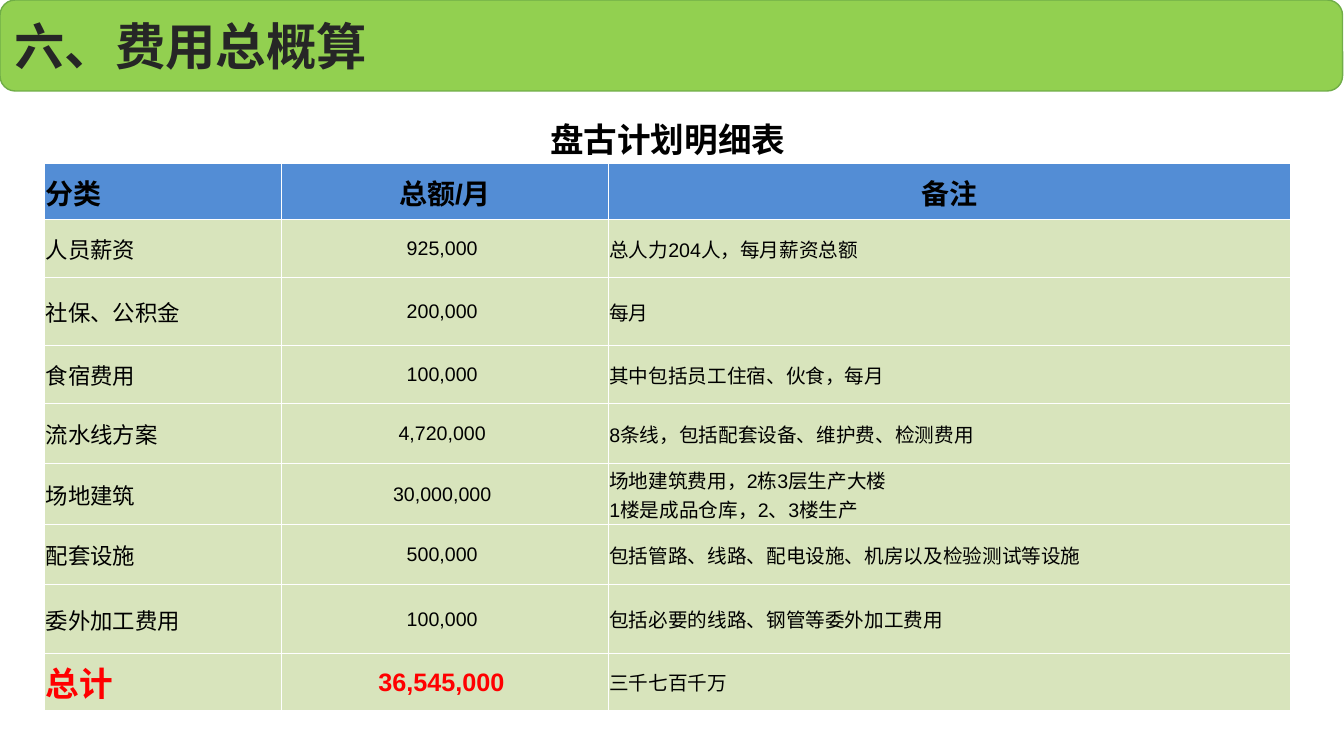
import copy
import dataclasses
import typing

import lxml.etree
import pptx
import pptx.dml.color
import pptx.enum.shapes
import pptx.enum.text
import pptx.oxml.ns
import pptx.util

Pt = pptx.util.Pt
Align = pptx.enum.text.PP_ALIGN
qn = pptx.oxml.ns.qn

COLORS = {
    "banner": "92D050", "banner_line": "70AD47", "banner_text": "262626",
    "header": "538DD5", "body": "D8E4BC", "border": "FFFFFF",
    "text": "000000", "total": "FF0000",
}
CJK_FONT = "Noto Sans CJK SC"
COLUMN_WIDTHS = [169.2, 233.3, 487.4]
CAPTION_HEIGHT = 36.7
HEADER_HEIGHT = 40.3


@dataclasses.dataclass(frozen=True)
class Style:
    size: float
    bold: bool = False
    color: str = "text"
    font: str = "Arial"
    align: Align = Align.LEFT


@dataclasses.dataclass(frozen=True)
class Cost:
    category: str
    amount: int
    remark: str
    height: float


COSTS = [
    Cost("人员薪资", 925000, "总人力204人，每月薪资总额", 41),
    Cost("社保、公积金", 200000, "每月", 49),
    Cost("食宿费用", 100000, "其中包括员工住宿、伙食，每月", 41),
    Cost("流水线方案", 4720000, "8条线，包括配套设备、维护费、检测费用", 43.2),
    Cost("场地建筑", 30000000, "场地建筑费用，2栋3层生产大楼\n1楼是成品仓库，2、3楼生产", 43.2),
    Cost("配套设施", 500000, "包括管路、线路、配电设施、机房以及检验测试等设施", 43.2),
    Cost("委外加工费用", 100000, "包括必要的线路、钢管等委外加工费用", 49),
    Cost("总计", 36545000, "三千七百千万", 41),
]

CAPTION = Style(24, True, align=Align.CENTER)
HEADER = Style(20, True)
HEADER_CENTERED = dataclasses.replace(HEADER, align=Align.CENTER)
REMARK = Style(14)
COST_STYLES = [Style(16), Style(14, align=Align.CENTER), REMARK]
TOTAL_STYLES = [
    Style(24, True, "total"),
    Style(18, True, "total", align=Align.CENTER),
    REMARK,
]


def rgb(name: str) -> pptx.dml.color.RGBColor:
    return pptx.dml.color.RGBColor.from_string(COLORS[name])


def apply(target: typing.Any, values: dict[str, typing.Any]) -> None:
    for name, value in values.items():
        setattr(target, name, value)


def write(frame: typing.Any, text: str, style: Style) -> None:
    para = frame.paragraphs[0]
    apply(para, {"text": text, "alignment": style.align})
    for span in para.runs:
        apply(span.font, {"size": Pt(style.size), "bold": style.bold, "name": style.font})
        span.font.color.rgb = rgb(style.color)
        east_asian = lxml.etree.SubElement(span.font._element, qn("a:ea"))
        east_asian.set("typeface", CJK_FONT)
    for line_break in para._p.findall(qn("a:br")):
        line_break.append(copy.deepcopy(para.runs[0].font._element))


def add_borders(cell: typing.Any) -> None:
    properties = cell._tc.get_or_add_tcPr()
    for index, side in enumerate(("lnL", "lnR", "lnT", "lnB")):
        line = lxml.etree.Element(qn(f"a:{side}"), w=str(Pt(0.5)))
        fill = lxml.etree.SubElement(line, qn("a:solidFill"))
        lxml.etree.SubElement(fill, qn("a:srgbClr"), val=COLORS["border"])
        properties.insert(index, line)


def fill_cell(cell: typing.Any, text: str, style: Style, fill: str | None) -> None:
    apply(cell, {
        "margin_left": Pt(0.75), "margin_right": Pt(0.75),
        "margin_top": Pt(0.75), "margin_bottom": Pt(0),
        "vertical_anchor": pptx.enum.text.MSO_ANCHOR.MIDDLE,
    })
    if fill:
        cell.fill.solid()
        cell.fill.fore_color.rgb = rgb(fill)
    else:
        cell.fill.background()
    add_borders(cell)
    write(cell.text_frame, text, style)


def add_banner(page: typing.Any, text: str) -> None:
    banner = page.shapes.add_shape(
        pptx.enum.shapes.MSO_SHAPE.ROUNDED_RECTANGLE, Pt(0), Pt(0), Pt(959), Pt(65))
    banner.shadow.inherit = False
    banner.fill.solid()
    banner.fill.fore_color.rgb = rgb("banner")
    banner.line.color.rgb = rgb("banner_line")
    banner.line.width = Pt(1)
    banner.text_frame.vertical_anchor = pptx.enum.text.MSO_ANCHOR.MIDDLE
    write(banner.text_frame, text, Style(36, True, "banner_text", CJK_FONT))


def add_cost_table(page: typing.Any) -> None:
    heights = [CAPTION_HEIGHT, HEADER_HEIGHT] + [cost.height for cost in COSTS]
    table = page.shapes.add_table(
        len(heights), len(COLUMN_WIDTHS), Pt(32), Pt(80),
        Pt(sum(COLUMN_WIDTHS)), Pt(sum(heights))).table
    apply(table, {"first_row": False, "horz_banding": False})
    for column, width in zip(table.columns, COLUMN_WIDTHS):
        column.width = Pt(width)
    for row, height in zip(table.rows, heights):
        row.height = Pt(height)

    table.cell(0, 0).merge(table.cell(0, len(COLUMN_WIDTHS) - 1))
    fill_cell(table.cell(0, 0), "盘古计划明细表", CAPTION, None)
    header_styles = [HEADER, HEADER_CENTERED, HEADER_CENTERED]
    for index, text in enumerate(["分类", "总额/月", "备注"]):
        fill_cell(table.cell(1, index), text, header_styles[index], "header")
    for row_index, cost in enumerate(COSTS, start=2):
        styles = TOTAL_STYLES if cost is COSTS[-1] else COST_STYLES
        texts = [cost.category, f"{cost.amount:,} ", cost.remark]
        for index, (text, style) in enumerate(zip(texts, styles)):
            fill_cell(table.cell(row_index, index), text, style, "body")


deck = pptx.Presentation()
apply(deck, {"slide_width": Pt(960), "slide_height": Pt(540)})
page = deck.slides.add_slide(deck.slide_layouts[6])
add_banner(page, "六、费用总概算")
add_cost_table(page)
deck.save("out.pptx")
